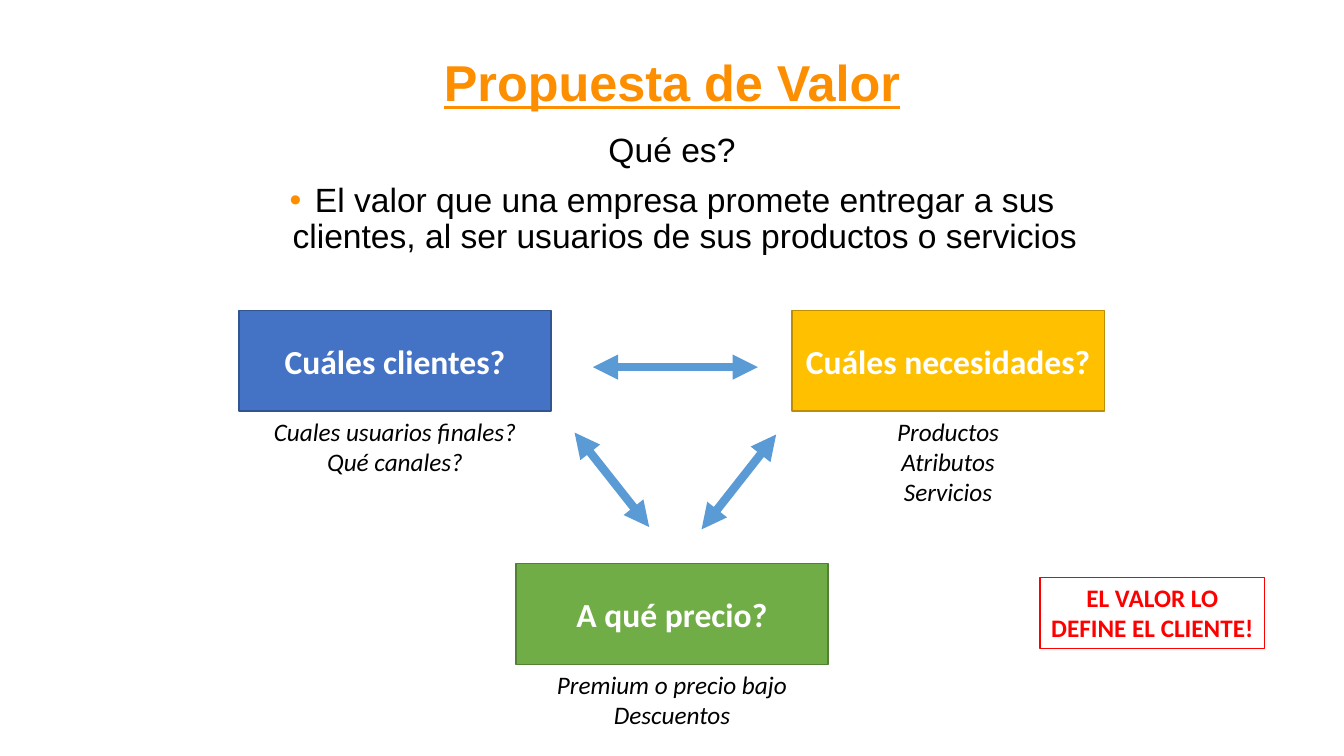
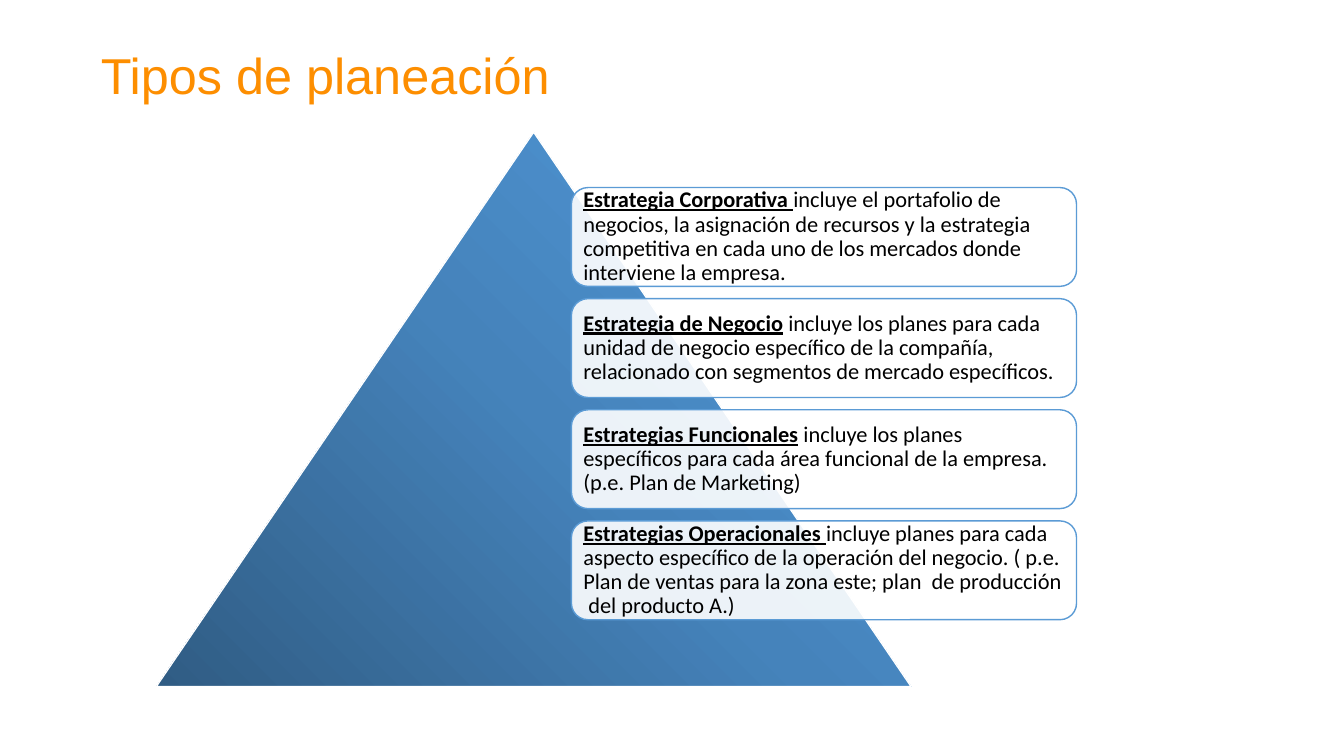
from lxml import etree
from pptx import Presentation
from pptx.dml.color import RGBColor
from pptx.enum import shapes, text
from pptx.oxml import ns
from pptx.util import Cm, Pt

ORANGE, BLACK, WHITE, RED = "FD8E00", "000000", "FFFFFF", "FF0000"
SKY = "5B9BD5"
HEADING_FONT, BODY_FONT = "Arial", "Calibri"
CENTER, LEFT = text.PP_ALIGN.CENTER, text.PP_ALIGN.LEFT
TOP, MIDDLE = text.MSO_ANCHOR.TOP, text.MSO_ANCHOR.MIDDLE


def color(value):
    return RGBColor.from_string(value)


def add_node(parent, tag, **attributes):
    return etree.SubElement(parent, ns.qn(tag), attributes)


def set_frame(shape, anchor=TOP, inset=None):
    frame = shape.text_frame
    frame.word_wrap = True
    frame.vertical_anchor = anchor
    if inset is not None:
        frame.margin_left = frame.margin_right = Cm(inset)
        frame.margin_top = frame.margin_bottom = Cm(inset)
    return frame


def add_text_box(page, box, anchor=TOP, inset=None):
    shape = page.shapes.add_textbox(*map(Cm, box))
    return set_frame(shape, anchor, inset)


def add_block(page, kind, box, fill, line, width=1):
    shape = page.shapes.add_shape(kind, *map(Cm, box))
    shape.shadow.inherit = False
    if fill:
        shape.fill.solid()
        shape.fill.fore_color.rgb = color(fill)
    else:
        shape.fill.background()
    shape.line.color.rgb = color(line)
    shape.line.width = Pt(width)
    return shape


def add_para(frame, align, spacing=None, before=None):
    """Return the first paragraph while it is unused, else a new one."""
    first = frame.paragraphs[0]
    para = frame.add_paragraph() if first.runs else first
    para.alignment = align
    if spacing:
        para.line_spacing = spacing
    if before:
        para.space_before = Pt(before)
    return para


def add_span(para, words, size, font=BODY_FONT, ink=BLACK,
             bold=False, italic=False, underline=False):
    span = para.add_run()
    span.text = words
    style = span.font
    style.size, style.name = Pt(size), font
    style.color.rgb = color(ink)
    style.bold, style.italic, style.underline = bold, italic, underline


def add_bullet(para, ink, indent):
    props = para._p.get_or_add_pPr()
    props.set("marL", str(Cm(indent)))
    props.set("indent", str(-Cm(indent)))
    add_node(add_node(props, "a:buClr"), "a:srgbClr", val=ink)
    add_node(props, "a:buFont", typeface=HEADING_FONT)
    add_node(props, "a:buChar", char="•")


def add_title(page, words, top, align=LEFT, strong=False):
    frame = add_text_box(page, (2.34, top, 29.2, 1.88), MIDDLE, 0.2)
    add_span(add_para(frame, align, 0.9), words, 36, HEADING_FONT, ORANGE,
             bold=strong, underline=strong)


def add_definition(page, box, question, answer):
    frame = add_text_box(page, box)
    for words in (question, answer):
        para = add_para(frame, CENTER, 0.9, 10)
        add_span(para, words, 24, HEADING_FONT)
    add_bullet(para, ORANGE, 0.64)


def add_question(page, box, question, fill, line, details):
    """Coloured question block with italic details below it."""
    left, top, width, height = box
    block = add_block(page, shapes.MSO_SHAPE.RECTANGLE, box, fill, line)
    add_span(add_para(set_frame(block, MIDDLE), CENTER),
             question, 24, ink=WHITE, bold=True)
    frame = add_text_box(page, (left, top + height, width, 1.8))
    for detail in details:
        add_span(add_para(frame, CENTER), detail, 18, italic=True)


def add_double_arrow(page, start, end):
    arrow = page.shapes.add_connector(
        shapes.MSO_CONNECTOR.STRAIGHT, *map(Cm, start + end))
    arrow.line.color.rgb = color(SKY)
    arrow.line.width = Pt(6)
    outline = arrow.line._get_or_add_ln()
    add_node(outline, "a:headEnd", type="triangle")
    add_node(outline, "a:tailEnd", type="triangle")
    add_node(arrow._element.spPr, "a:effectLst")


def add_callout(page, box, words):
    block = add_block(page, shapes.MSO_SHAPE.RECTANGLE, box, None, RED, 0.75)
    add_span(add_para(set_frame(block), CENTER), words, 18, ink=RED, bold=True)


def set_corner_gradient(shape, stops):
    """Fill the shape with a gradient spreading from its bottom left corner."""
    gradient = etree.Element(ns.qn("a:gradFill"), rotWithShape="1")
    stop_list = add_node(gradient, "a:gsLst")
    for percent, ink in stops:
        stop = add_node(stop_list, "a:gs", pos=str(percent * 1000))
        add_node(stop, "a:srgbClr", val=ink)
    spread = add_node(gradient, "a:path", path="circle")
    add_node(spread, "a:fillToRect", t="100000", r="100000")
    props = shape._element.spPr
    props.replace(props.find(ns.qn("a:solidFill")), gradient)


def set_opacity(shape, percent):
    ink = shape._element.spPr.find(ns.qn("a:solidFill"))[0]
    add_node(ink, "a:alpha", val=str(percent * 1000))


def add_strategy(page, box, name, description):
    card = add_block(page, shapes.MSO_SHAPE.ROUNDED_RECTANGLE, box, WHITE, SKY)
    set_opacity(card, 90)
    para = add_para(set_frame(card, MIDDLE, 0.18), LEFT, 0.9)
    add_span(para, name, 16, bold=True, underline=True)
    add_span(para, description, 16)


def add_pyramid(page, box, strategies):
    """Pyramid with a column of strategy cards over its right half."""
    left, top, width, height = box
    pyramid = add_block(page, shapes.MSO_SHAPE.ISOSCELES_TRIANGLE, box,
                        SKY, WHITE)
    set_corner_gradient(pyramid, [(0, "305C84"), (50, "4583BB"),
                                  (100, "529BDE")])
    card_height, pitch = 2.49, 2.8
    for row, (name, description) in enumerate(strategies):
        card = (left + width * 0.55, top + height * 0.1 + row * pitch,
                12.73, card_height)
        add_strategy(page, card, name, description)


def build_value_page(page):
    add_title(page, "Propuesta de Valor", 1.22, CENTER, strong=True)
    add_definition(page, (6.32, 3.23, 21.23, 3.71), "Qué es?",
                   "El valor que una empresa promete entregar a sus clientes, "
                   "al ser usuarios de sus productos o servicios")
    questions = [
        (6.02, 7.82, "Cuáles clientes?", "4472C4", "325491",
         ["Cuales usuarios finales?", "Qué canales?"]),
        (19.96, 7.82, "Cuáles necesidades?", "FFC000", "BD8E00",
         ["Productos", "Atributos", "Servicios"]),
        (13, 14.2, "A qué precio?", "70AD47", "538035",
         ["Premium o precio bajo", "Descuentos"]),
    ]
    for left, top, *content in questions:
        add_question(page, (left, top, 7.87, 2.54), *content)
    for start, end in [((14.94, 9.25), (19.1, 9.25)),
                       ((17.68, 13.34), (19.56, 10.95)),
                       ((16.36, 13.28), (14.48, 10.9))]:
        add_double_arrow(page, start, end)
    add_callout(page, (26.21, 14.55, 5.66, 1.8),
                "EL VALOR LO DEFINE EL CLIENTE!")


def build_planning_page(page):
    add_title(page, "Tipos de planeación", 1.02)
    add_pyramid(page, (3.94, 3.33, 19.02, 13.97), [
        ("Estrategia Corporativa ",
         "incluye el portafolio de negocios, la asignación de recursos y la "
         "estrategia competitiva en cada uno de los mercados donde "
         "interviene la empresa."),
        ("Estrategia de Negocio",
         " incluye los planes para cada unidad de negocio específico de la "
         "compañía, relacionado con segmentos de mercado específicos."),
        ("Estrategias Funcionales",
         " incluye los planes específicos para cada área funcional de la "
         "empresa.(p.e. Plan de Marketing)"),
        ("Estrategias Operacionales ",
         "incluye planes para cada aspecto específico de la operación del "
         "negocio. ( p.e. Plan de ventas para la zona este; plan  de "
         "producción  del producto A.)"),
    ])


def main():
    deck = Presentation()
    deck.slide_width, deck.slide_height = Cm(33.87), Cm(19.05)
    blank = deck.slide_layouts[6]
    for build in (build_value_page, build_planning_page):
        build(deck.slides.add_slide(blank))
    deck.save("out.pptx")


if __name__ == "__main__":
    main()
